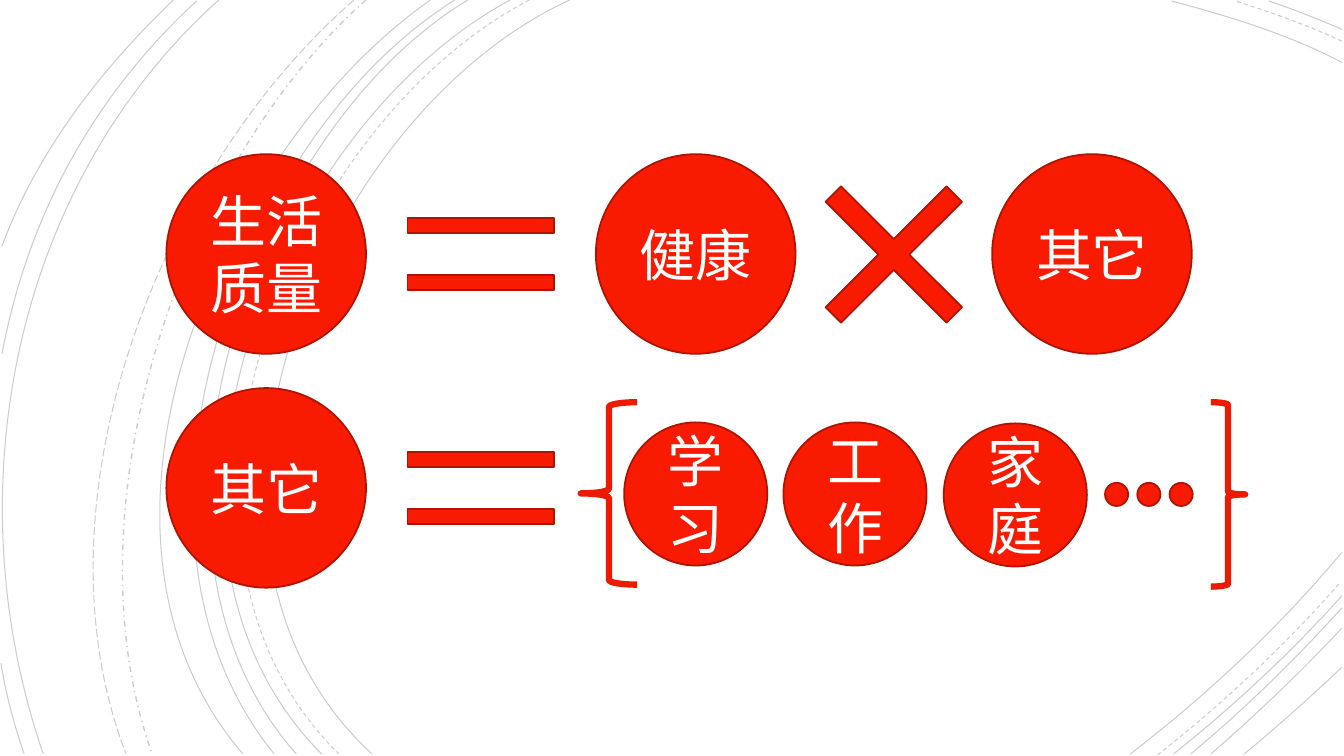
from lxml.etree import SubElement
from pptx import Presentation
from pptx.dml.color import RGBColor
from pptx.enum.dml import MSO_LINE
from pptx.enum.shapes import MSO_SHAPE
from pptx.enum.text import MSO_ANCHOR, PP_ALIGN
from pptx.oxml.ns import qn
from pptx.util import Inches, Pt

RED = RGBColor(0xF8, 0x1B, 0x02)
DARK_RED = RGBColor(0xAF, 0x13, 0x01)
BRACE_RED = RGBColor(0xED, 0x1A, 0x02)
BLACK = RGBColor(0, 0, 0)
WHITE = RGBColor(0xFF, 0xFF, 0xFF)
FONT = {"name": "TeX Gyre Bonum", "size": Pt(40)}

deck = Presentation()
deck.slide_width, deck.slide_height = Inches(13.33), Inches(7.5)
page = deck.slides.add_slide(deck.slide_layouts[6])


def add_arc(points, dash, width):
    start, *controls = [(Inches(x), Inches(y)) for x, y in points]
    builder = page.shapes.build_freeform(*start)
    builder.add_line_segments(controls, close=False)
    arc = builder.convert_to_shape()
    outline = arc.element.find(".//" + qn("a:path"))
    curve = SubElement(outline, qn("a:cubicBezTo"))
    for segment in outline.findall(qn("a:lnTo")):
        curve.append(segment[0])
        outline.remove(segment)
    arc.shadow.inherit = False
    arc.fill.background()
    arc.line.color.rgb = BLACK
    arc.line.width = Pt(width)
    arc.line.dash_style = dash
    color = arc.element.find(".//" + qn("a:srgbClr"))
    SubElement(color, qn("a:alpha"), val="20000")


def add_symbol(kind, left, top, width, height, adjustments=(), text=""):
    symbol = page.shapes.add_shape(
        kind, Inches(left), Inches(top), Inches(width), Inches(height))
    symbol.shadow.inherit = False
    symbol.fill.solid()
    symbol.fill.fore_color.rgb = RED
    symbol.line.color.rgb = DARK_RED
    symbol.line.width = Pt(1.25)
    for index, value in enumerate(adjustments):
        symbol.adjustments[index] = value
    if text:
        symbol.text_frame.word_wrap = True
        symbol.text_frame.vertical_anchor = MSO_ANCHOR.MIDDLE
        para = symbol.text_frame.paragraphs[0]
        para.alignment = PP_ALIGN.CENTER
        span = para.add_run()
        span.text = text
        for name, value in FONT.items():
            setattr(span.font, name, value)
        span.font.color.rgb = WHITE
    return symbol


SOLID, DASH = MSO_LINE.SOLID, MSO_LINE.DASH
arcs = [
    (SOLID, 0.75, [
        [(5.65, 0), (3.15, 1.15), (1.43, 5.4), (3.69, 7.48)],
        [(13.31, 0.62), (12.78, 0.34), (12.18, 0.16), (11.62, 0.01)],
        [(11.21, 7.48), (11.97, 6.9), (12.69, 6.22), (13.31, 5.48)],
    ]),
    (DASH, 0.75, [
        [(5.25, 0), (2.85, 1.25), (1.23, 5.37), (3.36, 7.48)],
        [(13.31, 0.41), (12.97, 0.25), (12.6, 0.12), (12.25, 0.01)],
        [(11.48, 7.49), (12.13, 6.98), (12.75, 6.4), (13.3, 5.77)],
    ]),
    (SOLID, 0.75, [
        [(5.06, 0), (2.7, 1.27), (1.1, 5.37), (3.19, 7.48)],
        [(13.31, 0.29), (13.07, 0.19), (12.83, 0.09), (12.58, 0.01)],
        [(11.64, 7.48), (12.23, 7.01), (12.8, 6.48), (13.31, 5.91)],
        [(4.64, 0), (2.44, 1.33), (1.1, 5.41), (2.94, 7.48)],
        [(11.81, 7.48), (12.34, 7.04), (12.84, 6.55), (13.31, 6.03)],
        [(4.51, 0), (2.31, 1.38), (0.97, 5.33), (2.72, 7.48)],
        [(12.01, 7.48), (12.46, 7.09), (12.9, 6.67), (13.31, 6.23)],
        [(4.27, 0), (2.17, 1.47), (0.53, 5.29), (2.41, 7.48)],
        [(12.34, 7.48), (12.67, 7.21), (12.99, 6.92), (13.31, 6.62)],
    ]),
    (MSO_LINE.DASH_DOT, 1, [
        [(3.63, 0), (1.76, 1.66), (0.65, 5.09), (1.51, 7.48)],
    ]),
    (MSO_LINE.LONG_DASH, 0.75, [
        [(3.51, 0), (1.57, 1.69), (0.29, 4.99), (1.25, 7.48)],
    ]),
    (SOLID, 0.75, [
        [(2.17, 0), (0.11, 1.85), (-0.46, 4.9), (0.43, 7.48)],
        [(1.95, 0.01), (0.92, 0.96), (0.28, 2.14), (0.02, 3.51)],
        [(0.01, 6.58), (0.06, 6.89), (0.14, 7.19), (0.24, 7.48)],
        [(1.72, 0), (1, 0.69), (0.37, 1.5), (0.02, 2.44)],
    ]),
]
for dash, width, curves in arcs:
    for points in curves:
        add_arc(points, dash, width)

circles = [
    ("生活质量", 1.65, 1.53, 1.98),
    ("健康", 5.91, 1.53, 1.98),
    ("其它", 9.84, 1.53, 1.98),
    ("其它", 1.65, 3.85, 1.98),
    ("学习", 6.19, 4.19, 1.42),
    ("工作", 7.77, 4.19, 1.42),
    ("家庭", 9.36, 4.2, 1.42),
]
for label, left, top, size in circles:
    add_symbol(MSO_SHAPE.OVAL, left, top, size, size, text=label)

for top in (1.88, 4.2):
    add_symbol(MSO_SHAPE.MATH_EQUAL, 3.78, top, 1.98, 1.28, (0.114, 0.328))
add_symbol(MSO_SHAPE.MATH_MULTIPLY, 7.71, 1.37, 2.31, 2.31, (0.094,))

braces = [
    (MSO_SHAPE.LEFT_BRACE, 5.76, 0.56, 1.81),
    (MSO_SHAPE.RIGHT_BRACE, 12.01, 0.34, 1.83),
]
for kind, left, width, height in braces:
    brace = add_symbol(kind, left, 3.99, width, height)
    brace.fill.background()
    brace.line.color.rgb = BRACE_RED
    brace.line.width = Pt(4.5)

for index in range(3):
    add_symbol(MSO_SHAPE.OVAL, 10.96 + 0.32 * index, 4.79, 0.23, 0.23)

deck.save("out.pptx")
